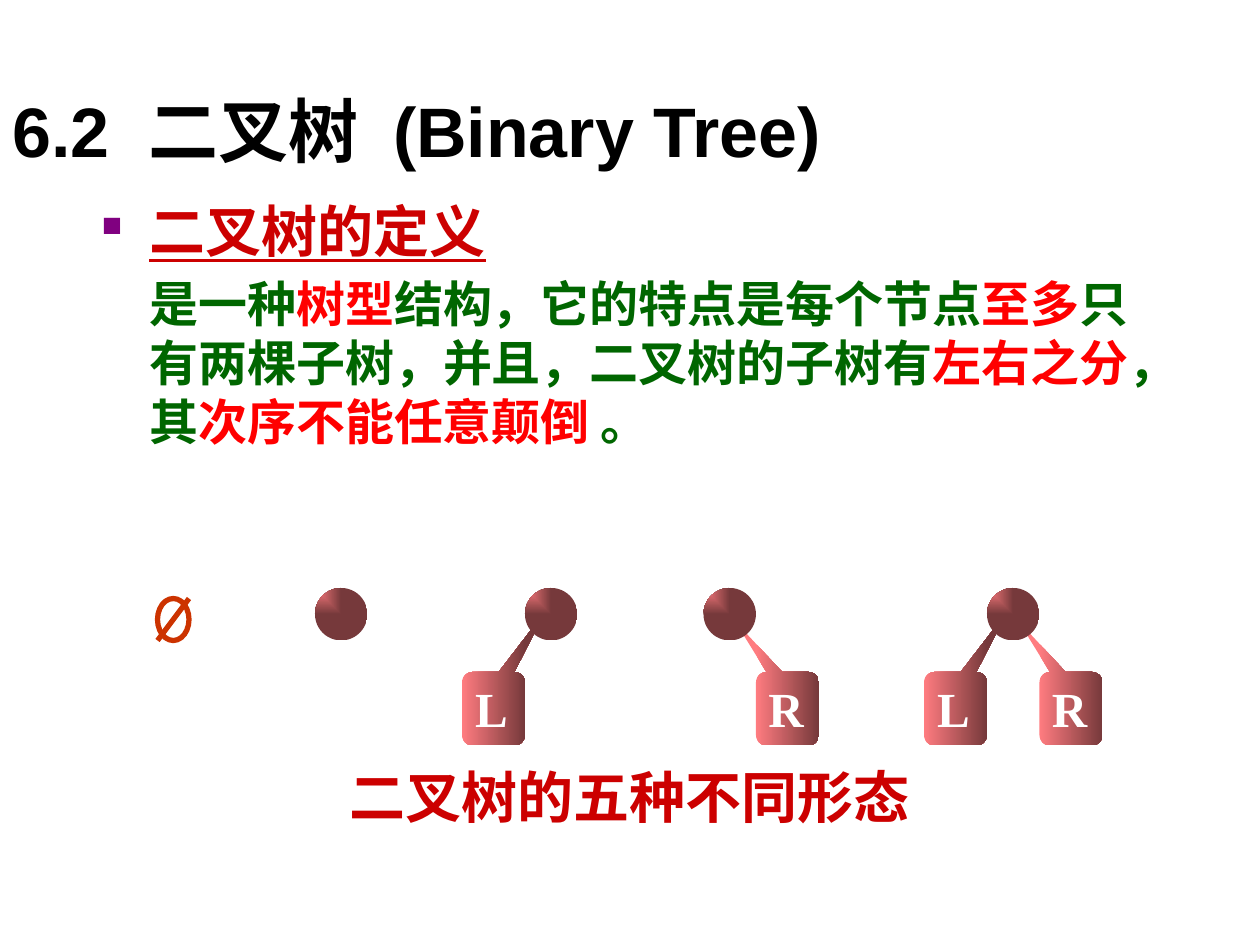
import pptx
import pptx.util
import pptx.dml.color
import pptx.enum.shapes
import pptx.enum.text
import pptx.oxml
import pptx.oxml.ns
import lxml.etree

COLORS = {"title": "000000", "heading": "CC0000", "body": "006600", "key": "FF0000",
          "bullet": "800080", "empty": "CC3300", "light": "FF7C80", "dark": "76393B",
          "label": "FFFFFF"}
SERIF, SANS, CJK = "Times New Roman", "Arial", "Noto Sans CJK SC"
SHAPES = pptx.enum.shapes.MSO_SHAPE
ALIGN = pptx.enum.text.PP_ALIGN
ANCHOR = pptx.enum.text.MSO_ANCHOR


class TreeSlide:
    """Places styled elements on a grid of 120 columns by 90 rows."""

    def __init__(self, prs):
        self.s = prs.slides.add_slide(prs.slide_layouts[6])
        self.col, self.row = prs.slide_width / 120, prs.slide_height / 90

    def rgb(self, name):
        return pptx.dml.color.RGBColor.from_string(COLORS[name])

    def box(self, x, y, w, h):
        return [round(v * u) for v, u in zip((x, y, w, h), (self.col, self.row) * 2)]

    def child(self, parent, tag, **attrs):
        return lxml.etree.SubElement(parent, pptx.oxml.ns.qn(tag), attrs)

    def frame(self, x, y, w, h, anchor=ANCHOR.TOP, wrap=True):
        tf = self.s.shapes.add_textbox(*self.box(x, y, w, h)).text_frame
        tf.word_wrap, tf.vertical_anchor = wrap, anchor
        return tf

    def run(self, p, text, size, color, font, underline=False, spacing=0):
        r = p.add_run()
        r.text = text
        r.font.size, r.font.name = pptx.util.Pt(size), font
        r.font.bold, r.font.color.rgb = True, self.rgb(color)
        if underline:
            r.font.underline = True
        if spacing:
            r.font._element.set("spc", str(spacing))
        self.child(r.font._element, "a:ea", typeface=CJK)

    def indent(self, p, bullet=None):
        pPr = p._p.get_or_add_pPr()
        margin = pptx.util.Inches(0.38)
        pPr.set("marL", str(margin))
        pPr.set("indent", str(-margin if bullet else 0))
        if bullet:
            self.child(self.child(pPr, "a:buClr"), "a:srgbClr", val=COLORS["bullet"])
            self.child(pPr, "a:buSzPct", val="50000")
            self.child(pPr, "a:buChar", char=bullet)

    def shape(self, kind, x, y, w, h):
        sp = self.s.shapes.add_shape(kind, *self.box(x, y, w, h))
        sp.shadow.inherit = False
        return sp

    def shade(self, sp, corner=False):
        sp.line.fill.background()
        sp.fill.gradient()
        sp.fill.gradient_angle = 0
        for stop, name, pos in zip(sp.fill.gradient_stops, ("light", "dark"), (0, 1)):
            stop.color.rgb, stop.position = self.rgb(name), pos
        if corner:
            grad = sp._element.spPr.find(pptx.oxml.ns.qn("a:gradFill"))
            grad.remove(grad.find(pptx.oxml.ns.qn("a:lin")))
            path = self.child(grad, "a:path", path="rect")
            self.child(path, "a:fillToRect", r="100000", b="100000")

    def subtree(self, x, label, tip):
        sp = self.shape(SHAPES.ROUNDED_RECTANGULAR_CALLOUT, x, 64, 6, 7)
        for i, value in enumerate((*tip, 0.167)):
            sp.adjustments[i] = value
        self.shade(sp)
        p = self.frame(x, 64, 5.6, 6.9, ANCHOR.MIDDLE, wrap=False).paragraphs[0]
        p.alignment = ALIGN.CENTER
        self.run(p, label, 28, "label", SERIF)

    def tree(self, x, left=None, right=None):
        if right is not None:
            self.subtree(right, "R", (-0.83, -1.188))
        if left is not None:
            self.subtree(left, "L", (0.819, -1.318))
        self.shade(self.shape(SHAPES.OVAL, x, 56, 5, 5), corner=True)

    def empty(self, x, y, w, h):
        sp = self.shape(SHAPES.OVAL, x, y, w, h)
        sp.fill.background()
        left, top, width, height = self.box(x, y, w, h)
        line = self.s.shapes.add_connector(pptx.enum.shapes.MSO_CONNECTOR.STRAIGHT,
                                           left + width, top, left, top + height)
        self.child(line._element.spPr, "a:effectLst")
        for item in (sp, line):
            item.line.color.rgb = self.rgb("empty")
            item.line.width = pptx.util.Pt(3)


def main():
    prs = pptx.Presentation()
    prs.slide_width, prs.slide_height = pptx.util.Inches(10), pptx.util.Inches(7.5)
    slide = TreeSlide(prs)

    p = slide.frame(0, 5.75, 108, 13.2, ANCHOR.MIDDLE).paragraphs[0]
    for text, spacing in (("6.2", 0), (" ", 1100), ("二叉树", 0), (" ", 1100),
                          ("(Binary Tree)", 0)):
        slide.run(p, text, 40, "title", SANS, spacing=spacing)

    tf = slide.frame(8.5, 18.1, 104.4, 27.4)
    p = tf.paragraphs[0]
    slide.indent(p, "■")
    slide.run(p, "二叉树的定义", 32, "heading", CJK, underline=True)
    p = tf.add_paragraph()
    slide.indent(p)
    p.space_before = pptx.util.Pt(6)
    for text, color in (("是一种", "body"), ("树型", "key"),
                        ("结构，它的特点是每个节点", "body"), ("至多", "key"),
                        ("只有两棵子树，并且，二叉树的子树有", "body"),
                        ("左右之分", "key"), ("，其", "body"),
                        ("次序不能任意颠倒 ", "key"), ("。", "body")):
        slide.run(p, text, 28, color, CJK)

    slide.empty(15, 57, 3, 4)
    slide.tree(30)
    slide.tree(50, left=44)
    slide.tree(67, right=72)
    slide.tree(94, left=88, right=99)

    p = slide.frame(18, 72, 84, 7.5).paragraphs[0]
    p.alignment = ALIGN.CENTER
    slide.run(p, "二叉树的五种不同形态", 32, "heading", SERIF)
    prs.save("out.pptx")


if __name__ == "__main__":
    main()
